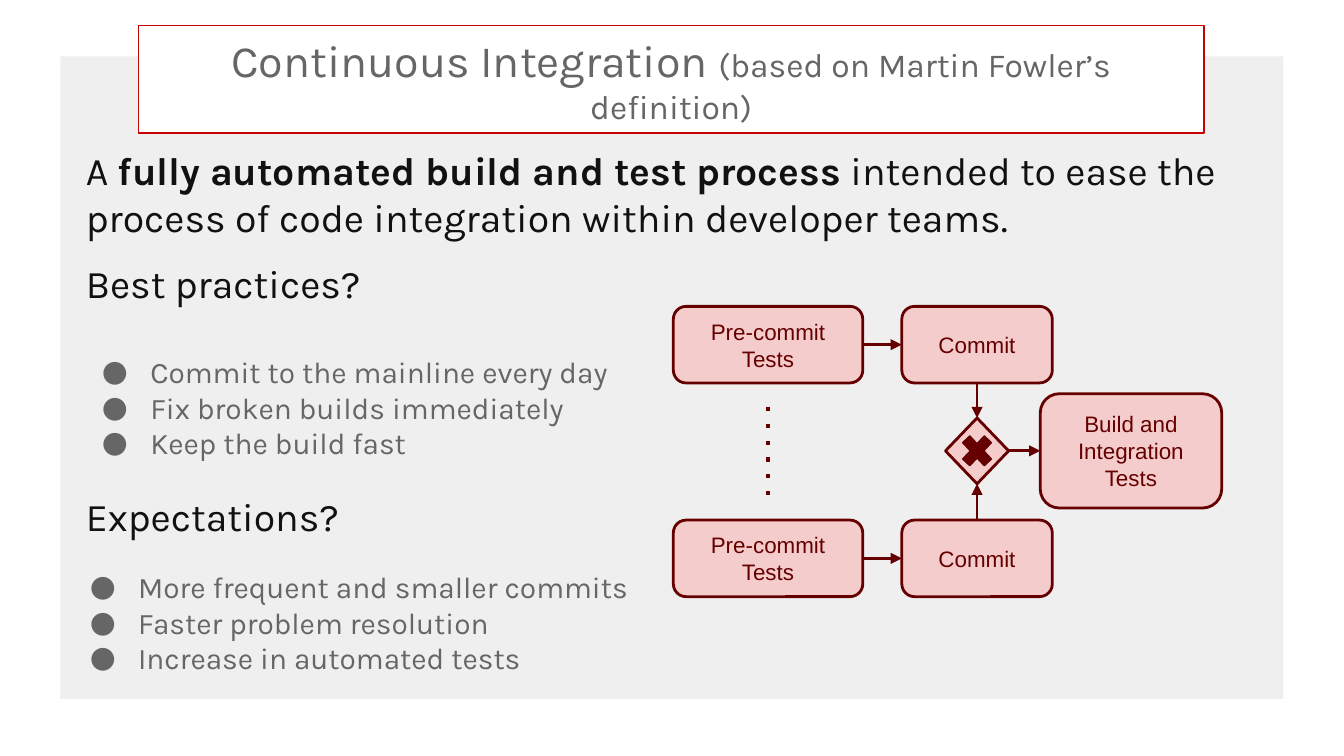
import dataclasses

import pptx
import pptx.dml.color
import pptx.enum.dml
import pptx.enum.shapes
import pptx.enum.text
import pptx.oxml
import pptx.oxml.ns
import pptx.util

KIND = pptx.enum.shapes.MSO_SHAPE
ALIGN = pptx.enum.text.PP_ALIGN
ANCHOR = pptx.enum.text.MSO_ANCHOR
TOP, LEFT, BOTTOM, RIGHT = range(4)


def color(code):
    """Return the colour for a hex code."""
    return pptx.dml.color.RGBColor.from_string(code)


def cells(count):
    """Turn grid cells, ten to the inch, into a length."""
    return pptx.util.Inches(count / 10)


@dataclasses.dataclass(frozen=True)
class Theme:
    """Hold the colours and type styles of the slide."""

    panel: str = "EFEFEF"
    white: str = "FFFFFF"
    frame: str = "C70000"
    pink: str = "F4CCCC"
    wine: str = "660000"
    gray: str = "666666"
    title: tuple = ("Karla", 24, "666666", False)
    small: tuple = ("Karla", 18, "666666", False)
    lead: tuple = ("Karla", 21, "111111", False)
    strong: tuple = ("Karla", 21, "111111", True)
    item: tuple = ("Karla", 16, "666666", False)
    node: tuple = ("Arial", 12, "660000", False)


THEME = Theme()


def format(target, values):
    """Set each named attribute of the target."""
    for name, value in values.items():
        setattr(target, name, value)


def place(box, left, top, width, height):
    """Return a box set at an offset inside another box."""
    return box[0] + left, box[1] + top, width, height


def setup(shape, anchor):
    """Prepare a text frame with even insets."""
    frame = shape.text_frame
    values = {f"margin_{side}": cells(1) for side in ("left", "right", "top", "bottom")}
    format(frame, values | {"word_wrap": True, "vertical_anchor": anchor})
    return frame


def write(para, parts, **values):
    """Add styled runs to a paragraph."""
    format(para, values)
    for text, (name, size, code, bold) in parts:
        run = para.add_run()
        run.text = text
        format(run.font, {"name": name, "size": pptx.util.Pt(size), "bold": bold})
        run.font.color.rgb = color(code)


def shape(slide, kind, box, fill, edge=None, width=1.5):
    """Draw a flat preset shape."""
    item = slide.shapes.add_shape(kind, *map(cells, box))
    item.shadow.inherit = False
    item.fill.solid()
    item.fill.fore_color.rgb = color(fill)
    if edge:
        item.line.color.rgb = color(edge)
        item.line.width = pptx.util.Pt(width)
    else:
        item.line.fill.background()
    return item


def header(slide, box):
    """Draw the framed title."""
    item = shape(slide, KIND.RECTANGLE, box, THEME.white, THEME.frame, 0.75)
    parts = [
        ("Continuous Integration ", THEME.title),
        ("(based on Martin Fowler’s definition)", THEME.small),
    ]
    write(setup(item, ANCHOR.MIDDLE).paragraphs[0], parts, alignment=ALIGN.CENTER)


def body(slide, box):
    """Write the definition and the two headings."""
    item = slide.shapes.add_textbox(*map(cells, box))
    frame = setup(item, ANCHOR.TOP)
    intro = [
        ("A ", THEME.lead),
        ("fully automated build and test process", THEME.strong),
        (" intended to ease the process of code integration within developer teams.", THEME.lead),
    ]
    rows = [
        (intro, 6),
        ([("Best practices?", THEME.lead)], 10),
        ([("Expectations?", THEME.lead)], 99.5),
    ]
    for index, (parts, gap) in enumerate(rows):
        para = frame.add_paragraph() if index else frame.paragraphs[0]
        write(para, parts, space_before=pptx.util.Pt(gap))


def bullets(slide, box, lines):
    """Write a bulleted list."""
    item = slide.shapes.add_textbox(*map(cells, box))
    frame = setup(item, ANCHOR.TOP)
    space = pptx.oxml.ns.nsdecls("a")
    marks = (
        f'<a:buClr {space}><a:srgbClr val="{THEME.gray}"/></a:buClr>',
        f'<a:buFont {space} typeface="{THEME.item[0]}"/>',
        f'<a:buChar {space} char="●"/>',
    )
    for index, text in enumerate(lines):
        para = frame.add_paragraph() if index else frame.paragraphs[0]
        write(para, [(text, THEME.item)])
        props = para._p.get_or_add_pPr()
        props.set("marL", str(cells(5)))
        props.set("indent", str(-cells(3.6)))
        for mark in marks:
            props.append(pptx.oxml.parse_xml(mark))


def node(slide, box, text):
    """Draw a rounded step with its label."""
    item = shape(slide, KIND.ROUNDED_RECTANGLE, box, THEME.pink, THEME.wine)
    write(setup(item, ANCHOR.MIDDLE).paragraphs[0], [(text, THEME.node)], alignment=ALIGN.CENTER)
    return item


def rule(slide, start, end, width=1.5):
    """Draw a straight line without a shadow."""
    line = slide.shapes.add_connector(
        pptx.enum.shapes.MSO_CONNECTOR.STRAIGHT, *map(cells, (*start, *end))
    )
    line.line.color.rgb = color(THEME.wine)
    line.line.width = pptx.util.Pt(width)
    space = pptx.oxml.ns.nsdecls("a")
    line._element.spPr.append(pptx.oxml.parse_xml(f"<a:effectLst {space}/>"))
    return line


def arrow(slide, first, out, last, into):
    """Join two shapes with an arrow."""
    line = rule(slide, (0, 0), (1, 1))
    line.begin_connect(first, out)
    line.end_connect(last, into)
    space = pptx.oxml.ns.nsdecls("a")
    head = pptx.oxml.parse_xml(f'<a:tailEnd {space} type="triangle"/>')
    line.line._get_or_add_ln().append(head)


def flow(slide, box):
    """Draw the commit flow that merges into the build."""
    gate = shape(slide, KIND.DIAMOND, place(box, 20.25, 8.3, 4.7, 4.9), THEME.pink, THEME.wine)
    cross = place(box, 21.05, 9.1, 3.1, 3.3)
    shape(slide, KIND.MATH_MULTIPLY, cross, THEME.wine, THEME.wine, 0.75)
    build = node(slide, place(box, 27.3, 6.5, 13.5, 8.5), "Build and Integration Tests")
    for top, out, into in ((0, BOTTOM, TOP), (15.9, TOP, BOTTOM)):
        tests = node(slide, place(box, 0, top, 14.1, 5.7), "Pre-commit Tests")
        commit = node(slide, place(box, 17, top, 11.2, 5.7), "Commit")
        arrow(slide, tests, RIGHT, commit, LEFT)
        arrow(slide, commit, out, gate, into)
    arrow(slide, gate, RIGHT, build, LEFT)
    left, top = box[0] + 7.05, box[1] + 7.5
    dots = rule(slide, (left, top), (left, top + 6.5), 2.25)
    dots.line.dash_style = pptx.enum.dml.MSO_LINE.ROUND_DOT
    dash = dots.line._get_or_add_ln().find(pptx.oxml.ns.qn("a:prstDash"))
    dash.set("val", "dot")


def main():
    """Build and save the slide."""
    deck = pptx.Presentation()
    format(deck, {"slide_width": cells(100), "slide_height": cells(56.25)})
    slide = deck.slides.add_slide(deck.slide_layouts[6])
    shape(slide, KIND.RECTANGLE, (4.5, 4.2, 91, 47.8), THEME.panel)
    body(slide, (5.4, 9.9, 89.4, 41.2))
    header(slide, (10.3, 1.9, 79.3, 8))
    habits = ["Commit to the mainline every day", "Fix broken builds immediately", "Keep the build fast"]
    gains = ["More frequent and smaller commits", "Faster problem resolution", "Increase in automated tests"]
    bullets(slide, (5.2, 25.3, 50.8, 10.9), habits)
    bullets(slide, (4.3, 41.3, 60.3, 10.9), gains)
    flow(slide, (50.1, 22.8, 40.8, 21.6))
    deck.save("out.pptx")


if __name__ == "__main__":
    main()
